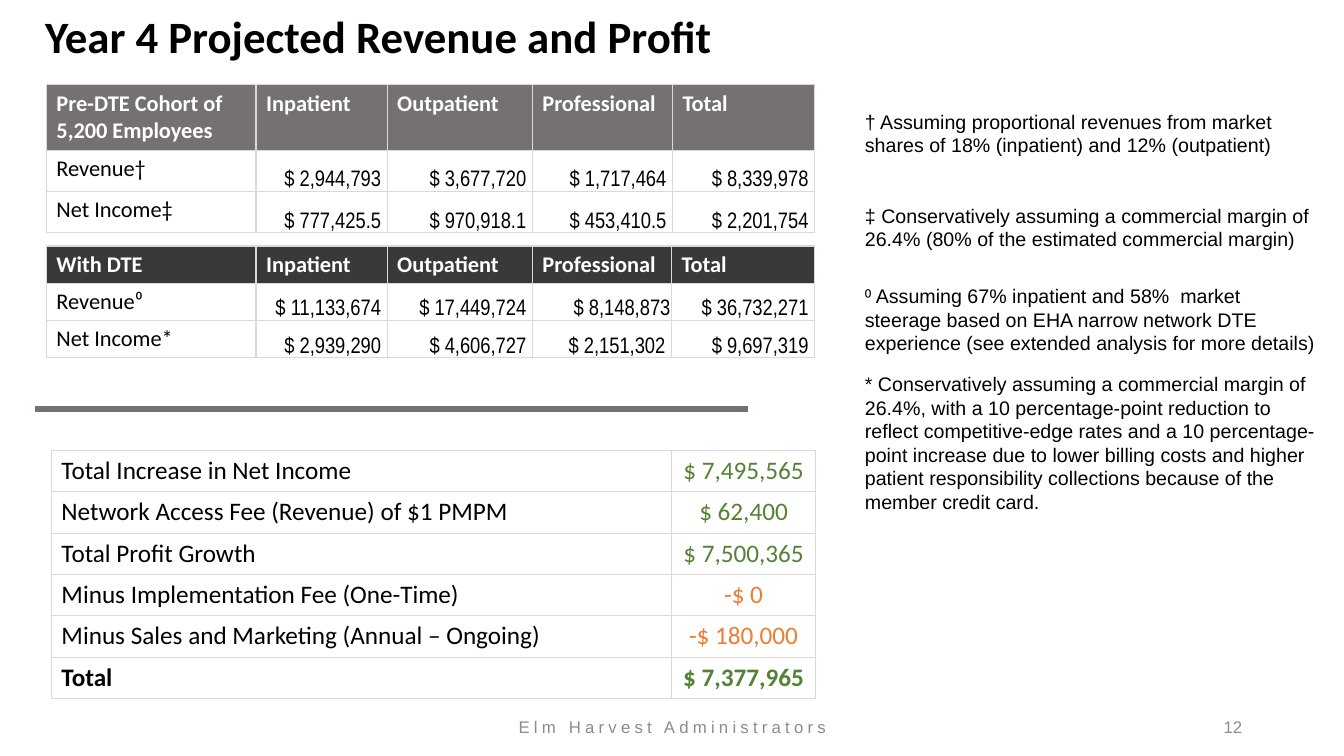
from dataclasses import dataclass

from lxml import etree
from pptx import Presentation
from pptx.dml.color import RGBColor
from pptx.enum import shapes, text
from pptx.oxml import ns
from pptx.util import Inches, Pt


@dataclass(frozen=True)
class Theme:
    ink: str = "000000"
    white: str = "FFFFFF"
    muted: str = "8C8C8C"
    grey: str = "767171"
    charcoal: str = "3B3838"
    border: str = "D9D9D9"
    gain: str = "548235"
    cost: str = "ED7D31"
    body: str = "Calibri"
    figures: str = "Arial Narrow"
    note: str = "Arial"
    title_size: int = 32
    summary_size: int = 18
    table_size: int = 16
    note_size: int = 14
    footer_size: int = 12


THEME = Theme()
ALIGN = text.PP_ALIGN
ANCHOR = text.MSO_ANCHOR

COHORT = [
    ["Pre-DTE Cohort of 5,200 Employees", "Inpatient", "Outpatient", "Professional", "Total"],
    ["Revenue†", "$ 2,944,793", "$ 3,677,720", "$ 1,717,464", "$ 8,339,978"],
    ["Net Income‡", "$ 777,425.5", "$ 970,918.1", "$ 453,410.5", "$ 2,201,754"],
]
WITH_DTE = [
    ["With DTE", "Inpatient", "Outpatient", "Professional", "Total"],
    ["Revenue⁰", "$ 11,133,674", "$ 17,449,724", "$ 8,148,873", "$ 36,732,271"],
    ["Net Income*", "$ 2,939,290", "$ 4,606,727", "$ 2,151,302", "$ 9,697,319"],
]
FLUSH_FIGURE = "$ 8,148,873"
SUMMARY = [
    ("Total Increase in Net Income", "$ 7,495,565"),
    ("Network Access Fee (Revenue) of $1 PMPM", "$ 62,400"),
    ("Total Profit Growth", "$ 7,500,365"),
    ("Minus Implementation Fee (One-Time)", "-$ 0"),
    ("Minus Sales and Marketing (Annual – Ongoing)", "-$ 180,000"),
    ("Total", "$ 7,377,965"),
]
# Top offset within the notes column, height, wording
NOTES = [
    (0, 0.81, "† Assuming proportional revenues from market shares of 18% (inpatient) "
              "and 12% (outpatient)"),
    (0.93, 0.57, "‡ Conservatively assuming a commercial margin of 26.4% "
                 "(80% of the estimated commercial margin)"),
    (1.73, 0.81, "⁰ Assuming 67% inpatient and 58%  market steerage based on EHA narrow "
                 "network DTE experience (see extended analysis for more details)"),
    (2.6, 1.51, "* Conservatively assuming a commercial margin of 26.4%, with a 10 "
                "percentage-point reduction to reflect competitive-edge rates and a 10 "
                "percentage-point increase due to lower billing costs and higher patient "
                "responsibility collections because of the member credit card."),
]


def write(frame, wording, size, font=THEME.body, color=THEME.ink, bold=False,
          align=ALIGN.LEFT, spacing=0):
    paragraph = frame.paragraphs[0]
    paragraph.alignment = align
    run = paragraph.add_run()
    run.text = wording
    run.font.size = Pt(size)
    run.font.name = font
    run.font.bold = bold
    run.font.color.rgb = RGBColor.from_string(color)
    if spacing:
        run.font._element.set("spc", str(spacing * 100))


def add_label(slide, box, wording, size, wrap=True, anchor=ANCHOR.TOP, **style):
    frame = slide.shapes.add_textbox(*map(Inches, box)).text_frame
    frame.word_wrap = wrap
    frame.vertical_anchor = anchor
    write(frame, wording, size, **style)


def style_cell(cell, fill=None):
    """Fill the cell, or leave it clear, and rule its four sides."""
    if fill:
        cell.fill.solid()
        cell.fill.fore_color.rgb = RGBColor.from_string(fill)
    else:
        cell.fill.background()
    properties = cell._tc.get_or_add_tcPr()
    for position, side in enumerate(("lnL", "lnR", "lnT", "lnB")):
        line = etree.Element(ns.qn(f"a:{side}"), w=str(Pt(1)))
        solid = etree.SubElement(line, ns.qn("a:solidFill"))
        etree.SubElement(solid, ns.qn("a:srgbClr"), val=THEME.border)
        properties.insert(position, line)


def add_grid(slide, left, top, widths, heights):
    box = map(Inches, (left, top, sum(widths), sum(heights)))
    grid = slide.shapes.add_table(len(heights), len(widths), *box).table
    grid.horz_banding = False
    for column, width in zip(grid.columns, widths):
        column.width = Inches(width)
    for row, height in zip(grid.rows, heights):
        row.height = Inches(height)
    return grid


def add_revenue_table(slide, left, top, widths, heights, rows, header_fill):
    grid = add_grid(slide, left, top, widths, heights)
    for r, row in enumerate(rows):
        for c, wording in enumerate(row):
            cell = grid.cell(r, c)
            style_cell(cell, None if r else header_fill)
            style = {}
            if r == 0:
                style = dict(color=THEME.white, bold=True)
            elif c:
                cell.vertical_anchor = ANCHOR.BOTTOM
                cell.margin_left = cell.margin_top = Inches(0.01)
                cell.margin_right = Inches(0.01 if wording == FLUSH_FIGURE else 0.06)
                cell.margin_bottom = 0
                style = dict(font=THEME.figures, align=ALIGN.RIGHT)
            write(cell.text_frame, wording, THEME.table_size, **style)


def add_summary_table(slide, left, top, widths, row_height):
    grid = add_grid(slide, left, top, widths, [row_height] * len(SUMMARY))
    grid.first_row = False
    for r, (item, amount) in enumerate(SUMMARY):
        bold = item == "Total"
        amount_color = THEME.cost if amount.startswith("-") else THEME.gain
        for c, (wording, color, align) in enumerate((
                (item, THEME.ink, ALIGN.LEFT), (amount, amount_color, ALIGN.CENTER))):
            cell = grid.cell(r, c)
            style_cell(cell)
            write(cell.text_frame, wording, THEME.summary_size, color=color,
                  bold=bold, align=align)


def add_divider(slide, left, top, width):
    divider = slide.shapes.add_connector(
        shapes.MSO_CONNECTOR.STRAIGHT, *map(Inches, (left, top, left + width, top)))
    divider.line.color.rgb = RGBColor.from_string(THEME.grey)
    divider.line.width = Pt(4.5)
    etree.SubElement(divider._element.spPr, ns.qn("a:effectLst"))


def add_notes_column(slide, left, top, width):
    for offset, height, wording in NOTES:
        add_label(slide, (left, top + offset, width, height), wording,
                  THEME.note_size, font=THEME.note)


def add_footer(slide, top, height):
    style = dict(size=THEME.footer_size, font=THEME.note, color=THEME.muted,
                 anchor=ANCHOR.MIDDLE)
    add_label(slide, (4.42, top, 4.5, height), "Elm Harvest Administrators",
              align=ALIGN.CENTER, spacing=3, **style)
    add_label(slide, (9.42, top, 3, height), "12", align=ALIGN.RIGHT, **style)


def main():
    deck = Presentation()
    deck.slide_width, deck.slide_height = Inches(13.33), Inches(7.5)
    slide = deck.slides.add_slide(deck.slide_layouts[6])
    add_label(slide, (0.35, 0.04, 6.88, 0.64), "Year 4 Projected Revenue and Profit",
              THEME.title_size, wrap=False, bold=True)
    add_revenue_table(slide, 0.46, 0.84, [2.08, 1.3, 1.44, 1.39, 1.41],
                      [0.65, 0.41, 0.41], COHORT, THEME.grey)
    add_revenue_table(slide, 0.46, 2.44, [2.08, 1.3, 1.44, 1.38, 1.42],
                      [0.37] * 3, WITH_DTE, THEME.charcoal)
    add_divider(slide, 0.35, 4.06, 7.07)
    add_summary_table(slide, 0.51, 4.47, [6.15, 1.43], 0.41)
    add_notes_column(slide, 8.48, 1.04, 4.72)
    add_footer(slide, 7.08, 0.27)
    deck.save("out.pptx")


if __name__ == "__main__":
    main()
